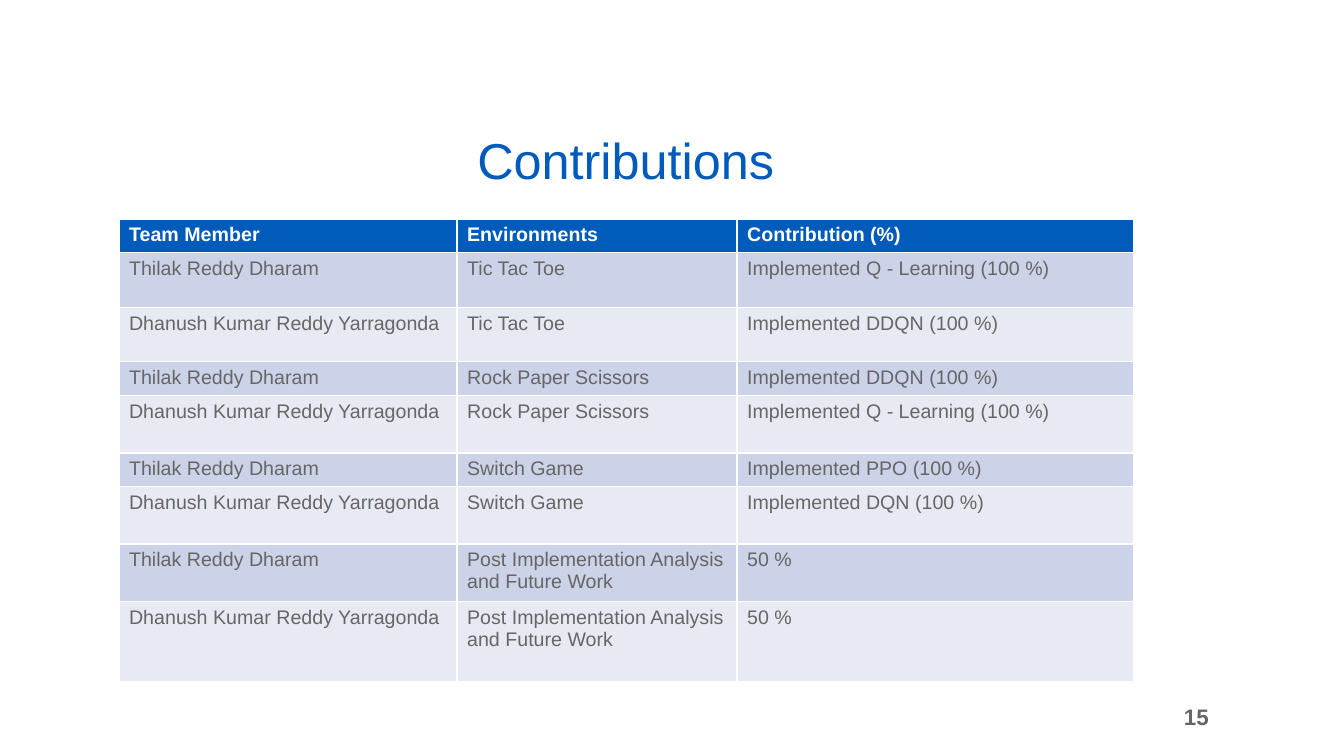
from pptx import Presentation
from pptx.dml.color import RGBColor as RGB
from pptx.enum.text import MSO_ANCHOR as Anchor, PP_ALIGN as Align
from pptx.util import Pt

INK = {"blue": "005BBB", "gray": "666666", "white": "FFFFFF",
       "dark": "CCD2E7", "light": "E7EAF3"}
ONE = "Thilak Reddy Dharam"
TWO = "Dhanush Kumar Reddy Yarragonda"
LAST = "Post Implementation Analysis and Future Work"
ROWS = [
    ("Team Member", "Environments", "Contribution (%)"),
    (ONE, "Tic Tac Toe", "Implemented Q - Learning (100 %)"),
    (TWO, "Tic Tac Toe", "Implemented DDQN (100 %)"),
    (ONE, "Rock Paper Scissors", "Implemented DDQN (100 %)"),
    (TWO, "Rock Paper Scissors", "Implemented Q - Learning (100 %)"),
    (ONE, "Switch Game", "Implemented PPO (100 %)"),
    (TWO, "Switch Game", "Implemented DQN (100 %)"),
    (ONE, LAST, "50 %"),
    (TWO, LAST, "50 %"),
]
WIDTHS = [241.5, 200, 283]
HEIGHTS = [23.3, 39, 39, 23.5, 41, 24, 41, 41, 57]


def style(frame, size, ink, bold=False):
    for run in frame.paragraphs[0].runs:
        font = run.font
        font.name, font.size, font.bold = "Arial", Pt(size), bold
        font.color.rgb = RGB.from_string(INK[ink])


def add_title(slide, text):
    title = slide.shapes.title
    title.left, title.top = Pt(33), Pt(93)
    title.width, title.height = Pt(828), Pt(46.8)
    frame = title.text_frame
    frame.text = text
    frame.vertical_anchor = Anchor.BOTTOM
    line = frame.paragraphs[0]
    line.alignment, line.line_spacing = Align.CENTER, 0.9
    style(frame, 36, "blue")


def add_grid(slide):
    grid = slide.shapes.add_table(
        len(ROWS), len(WIDTHS), Pt(85), Pt(156.5),
        Pt(sum(WIDTHS)), Pt(sum(HEIGHTS))).table
    for col, width in zip(grid.columns, WIDTHS):
        col.width = Pt(width)
    for i, (row, height) in enumerate(zip(grid.rows, HEIGHTS)):
        row.height = Pt(height)
        head = i == 0
        fill = "blue" if head else "dark" if i % 2 else "light"
        for cell, text in zip(row.cells, ROWS[i]):
            cell.text_frame.text = text
            cell.fill.solid()
            cell.fill.fore_color.rgb = RGB.from_string(INK[fill])
            style(cell.text_frame, 14, "white" if head else "gray", head)


def add_number(slide, text):
    box = slide.shapes.add_textbox(Pt(546.5), Pt(497.5), Pt(324), Pt(28.8))
    frame = box.text_frame
    frame.word_wrap = True
    frame.vertical_anchor = Anchor.MIDDLE
    frame.text = text
    frame.paragraphs[0].alignment = Align.RIGHT
    style(frame, 16, "gray", True)


def main():
    deck = Presentation()
    deck.slide_width, deck.slide_height = Pt(960), Pt(540)
    slide = deck.slides.add_slide(deck.slide_layouts[5])
    add_number(slide, "15")
    add_title(slide, "Contributions")
    add_grid(slide)
    deck.save("out.pptx")


if __name__ == "__main__":
    main()
